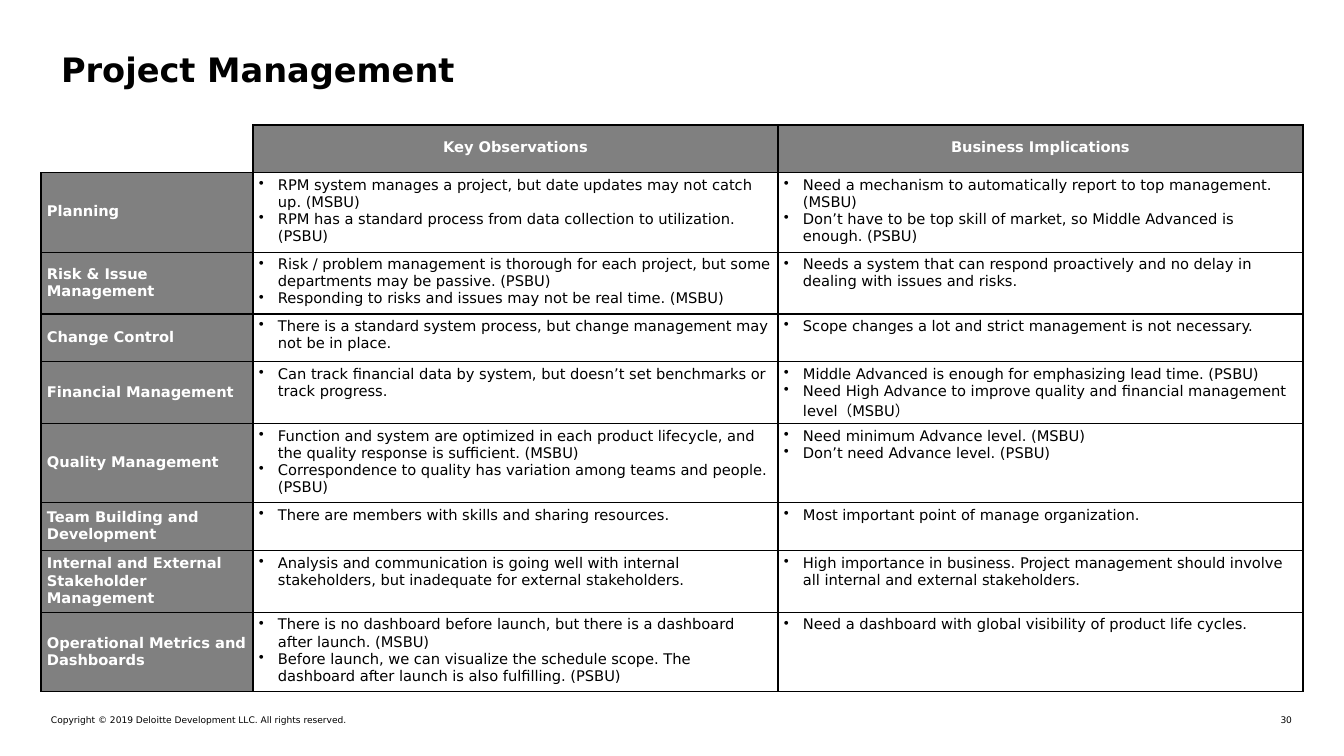
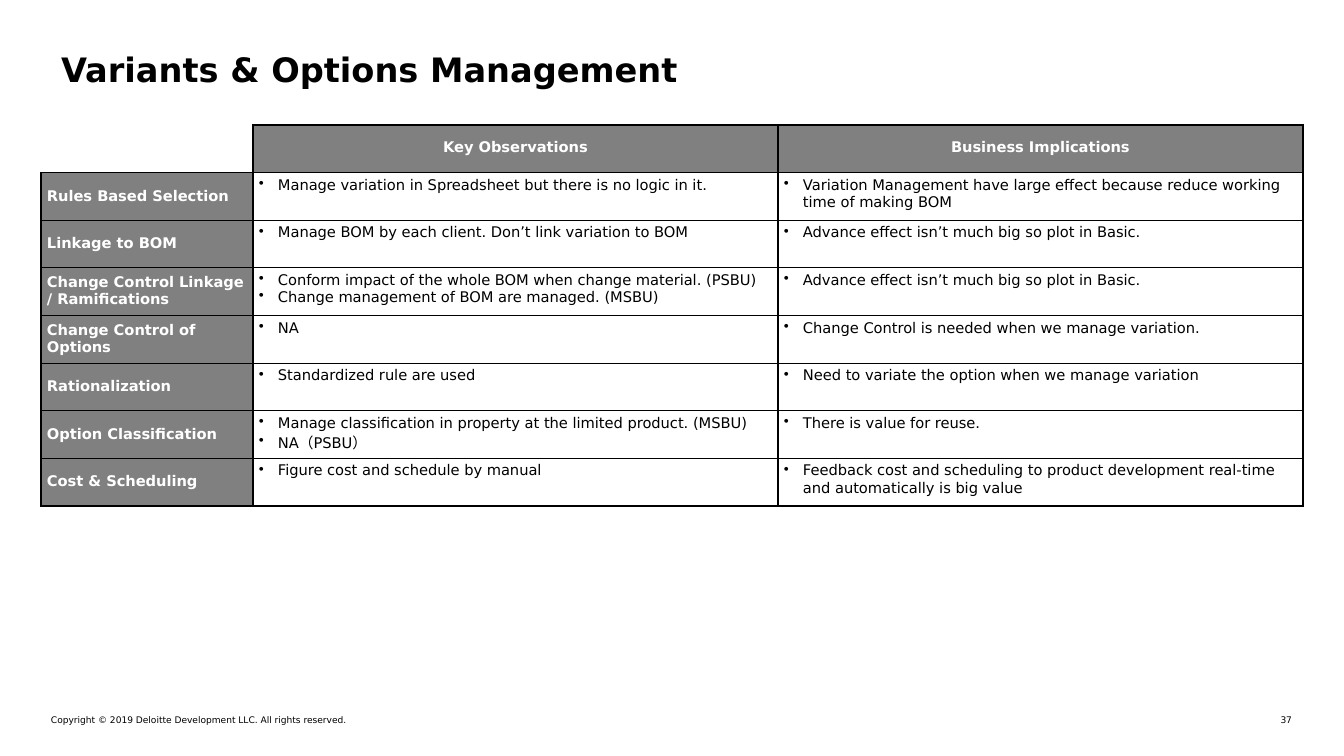
from lxml.etree import SubElement
from pptx import Presentation
from pptx.dml.color import RGBColor
from pptx.enum.text import MSO_ANCHOR, MSO_AUTO_SIZE, PP_ALIGN
from pptx.oxml.ns import qn
from pptx.util import Pt

EMU_PER_PX = 914400 / 100.8
FONT = "DejaVu Sans"
COLORS = {"text": "000000", "label": "FFFFFF", "label_fill": "808080",
          "cell_fill": "FFFFFF", "border": "000000"}
TITLE_BOX = (51, 44, 1241, 37)
COPYRIGHT_BOX = (51, 714, 591, 11)
NUMBER_BOX = (1258, 714, 34, 11)
COPYRIGHT = "Copyright © 2019 Deloitte Development LLC. All rights reserved."
TABLE_LEFT, TABLE_TOP = 41, 125
COLUMN_WIDTHS = (212, 525, 525)
HEADERS = ("Key Observations", "Business Implications")
BULLET_INDENT = 19

PROJECT_ROWS = [
    ("Planning",
     ["RPM system manages a project, but date updates may not catch up. (MSBU)",
      "RPM has a standard process from data collection to utilization. (PSBU)"],
     ["Need a mechanism to automatically report to top management. (MSBU)",
      "Don’t have to be top skill of market, so Middle Advanced is enough. (PSBU)"]),
    ("Risk & Issue Management",
     ["Risk / problem management is thorough for each project, but some departments may be passive. (PSBU)",
      "Responding to risks and issues may not be real time. (MSBU)"],
     ["Needs a system that can respond proactively and no delay in dealing with issues and risks."]),
    ("Change Control",
     ["There is a standard system process, but change management may not be in place."],
     ["Scope changes a lot and strict management is not necessary."]),
    ("Financial Management",
     ["Can track financial data by system, but doesn’t set benchmarks or track progress."],
     ["Middle Advanced is enough for emphasizing lead time. (PSBU)",
      "Need High Advance to improve quality and financial management level（MSBU）"]),
    ("Quality Management",
     ["Function and system are optimized in each product lifecycle, and the quality response is sufficient. (MSBU)",
      "Correspondence to quality has variation among teams and people. (PSBU)"],
     ["Need minimum Advance level. (MSBU)",
      "Don’t need Advance level. (PSBU)"]),
    ("Team Building and Development",
     ["There are members with skills and sharing resources."],
     ["Most important point of manage organization."]),
    ("Internal and External Stakeholder Management",
     ["Analysis and communication is going well with internal stakeholders, but inadequate for external stakeholders."],
     ["High importance in business. Project management should involve all internal and external stakeholders."]),
    ("Operational Metrics and Dashboards",
     ["There is no dashboard before launch, but there is a dashboard after launch. (MSBU)",
      "Before launch, we can visualize the schedule scope. The dashboard after launch is also fulfilling. (PSBU)"],
     ["Need a dashboard with global visibility of product life cycles."]),
]
VARIANT_ROWS = [
    ("Rules Based Selection",
     ["Manage variation in Spreadsheet but there is no logic in it."],
     ["Variation Management have large effect because reduce working time of making BOM"]),
    ("Linkage to BOM",
     ["Manage BOM by each client. Don’t link variation to BOM"],
     ["Advance effect isn’t much big so plot in Basic."]),
    ("Change Control Linkage / Ramifications",
     ["Conform impact of the whole BOM when change material. (PSBU)",
      "Change management of BOM are managed. (MSBU)"],
     ["Advance effect isn’t much big so plot in Basic."]),
    ("Change Control of Options",
     ["NA"],
     ["Change Control is needed when we manage variation."]),
    ("Rationalization",
     ["Standardized rule are used"],
     ["Need to variate the option when we manage variation"]),
    ("Option Classification",
     ["Manage classification in property at the limited product. (MSBU)",
      "NA（PSBU）"],
     ["There is value for reuse."]),
    ("Cost & Scheduling",
     ["Figure cost and schedule by manual"],
     ["Feedback cost and scheduling to product development real-time and automatically is big value"]),
]


def px(length):
    """Turn a length in px into EMU."""
    return round(length * EMU_PER_PX)


def format_runs(paragraph, size, color, bold=False):
    """Give every run of a paragraph the shared font."""
    for run in paragraph.runs:
        run.font.name = FONT
        run.font.size = Pt(size)
        run.font.bold = bold
        run.font.color.rgb = RGBColor.from_string(COLORS[color])


def add_title(slide, text, box):
    """Place the title placeholder in the box."""
    title = slide.shapes.title
    title.left, title.top, title.width, title.height = map(px, box)
    frame = title.text_frame
    frame.text = text
    frame.auto_size = MSO_AUTO_SIZE.NONE
    frame.vertical_anchor = MSO_ANCHOR.TOP
    frame.paragraphs[0].alignment = PP_ALIGN.LEFT
    format_runs(frame.paragraphs[0], 24, "text", True)


def add_footer_text(slide, text, box, alignment):
    """Place one small footer line in the box."""
    frame = slide.shapes.add_textbox(*map(px, box)).text_frame
    frame.margin_left = frame.margin_right = frame.margin_top = frame.margin_bottom = 0
    frame.word_wrap = True
    frame.text = text
    frame.paragraphs[0].alignment = alignment
    format_runs(frame.paragraphs[0], 6.5, "text")


def set_borders(cell, visible_sides):
    """Draw one-point borders on the named sides and clear the others."""
    properties = cell._tc.get_or_add_tcPr()
    for side in "LRTB":
        line = SubElement(properties, qn(f"a:ln{side}"), w=str(Pt(1)))
        if side in visible_sides:
            fill = SubElement(line, qn("a:solidFill"))
            SubElement(fill, qn("a:srgbClr"), val=COLORS["border"])
        else:
            SubElement(line, qn("a:noFill"))


def prepare_cell(cell, fill, visible_sides="LRTB"):
    """Set the margins, borders and fill of a cell."""
    cell.margin_left = cell.margin_right = px(6)
    cell.margin_top, cell.margin_bottom = px(4), px(5)
    set_borders(cell, visible_sides)
    if fill:
        cell.fill.solid()
        cell.fill.fore_color.rgb = RGBColor.from_string(COLORS[fill])
    else:
        cell.fill.background()


def fill_label(cell, text):
    """Write a bold white label on grey and return its paragraph."""
    prepare_cell(cell, "label_fill")
    cell.vertical_anchor = MSO_ANCHOR.MIDDLE
    paragraph = cell.text_frame.paragraphs[0]
    paragraph.text = text
    format_runs(paragraph, 10.5, "label", True)
    return paragraph


def fill_bullets(cell, items):
    """Write a bulleted list in a white cell."""
    prepare_cell(cell, "cell_fill")
    frame = cell.text_frame
    frame.text = "\n".join(items)
    for paragraph in frame.paragraphs:
        properties = paragraph._p.get_or_add_pPr()
        properties.set("marL", str(px(BULLET_INDENT)))
        properties.set("indent", str(-px(BULLET_INDENT)))
        SubElement(properties, qn("a:buChar"), char="•")
        format_runs(paragraph, 10.5, "text")


def add_findings_table(slide, rows, left, top, height):
    """Build the table of observations and implications."""
    frame = slide.shapes.add_table(len(rows) + 1, len(COLUMN_WIDTHS), px(left), px(top),
                                   px(sum(COLUMN_WIDTHS)), px(height))
    table = frame.table
    table.first_row = table.horz_banding = False
    for column, width in zip(table.columns, COLUMN_WIDTHS):
        column.width = px(width)
    prepare_cell(table.cell(0, 0), None, "RB")
    for column_index, header in enumerate(HEADERS, 1):
        paragraph = fill_label(table.cell(0, column_index), header)
        paragraph.alignment = PP_ALIGN.CENTER
        paragraph.line_spacing = 0.9
    for row_index, (label, observations, implications) in enumerate(rows, 1):
        fill_label(table.cell(row_index, 0), label)
        fill_bullets(table.cell(row_index, 1), observations)
        fill_bullets(table.cell(row_index, 2), implications)


def add_findings_slide(presentation, title, number, rows, table_height):
    """Add a slide with title, findings table and footer."""
    slide = presentation.slides.add_slide(presentation.slide_layouts[5])
    add_footer_text(slide, COPYRIGHT, COPYRIGHT_BOX, PP_ALIGN.LEFT)
    add_footer_text(slide, number, NUMBER_BOX, PP_ALIGN.RIGHT)
    add_findings_table(slide, rows, TABLE_LEFT, TABLE_TOP, table_height)
    add_title(slide, title, TITLE_BOX)


def main():
    """Build and save the presentation."""
    presentation = Presentation()
    presentation.slide_width, presentation.slide_height = px(1344), px(756)
    add_findings_slide(presentation, "Project Management", "30", PROJECT_ROWS, 429)
    add_findings_slide(presentation, "Variants & Options Management", "37", VARIANT_ROWS, 381)
    presentation.save("out.pptx")


if __name__ == "__main__":
    main()
